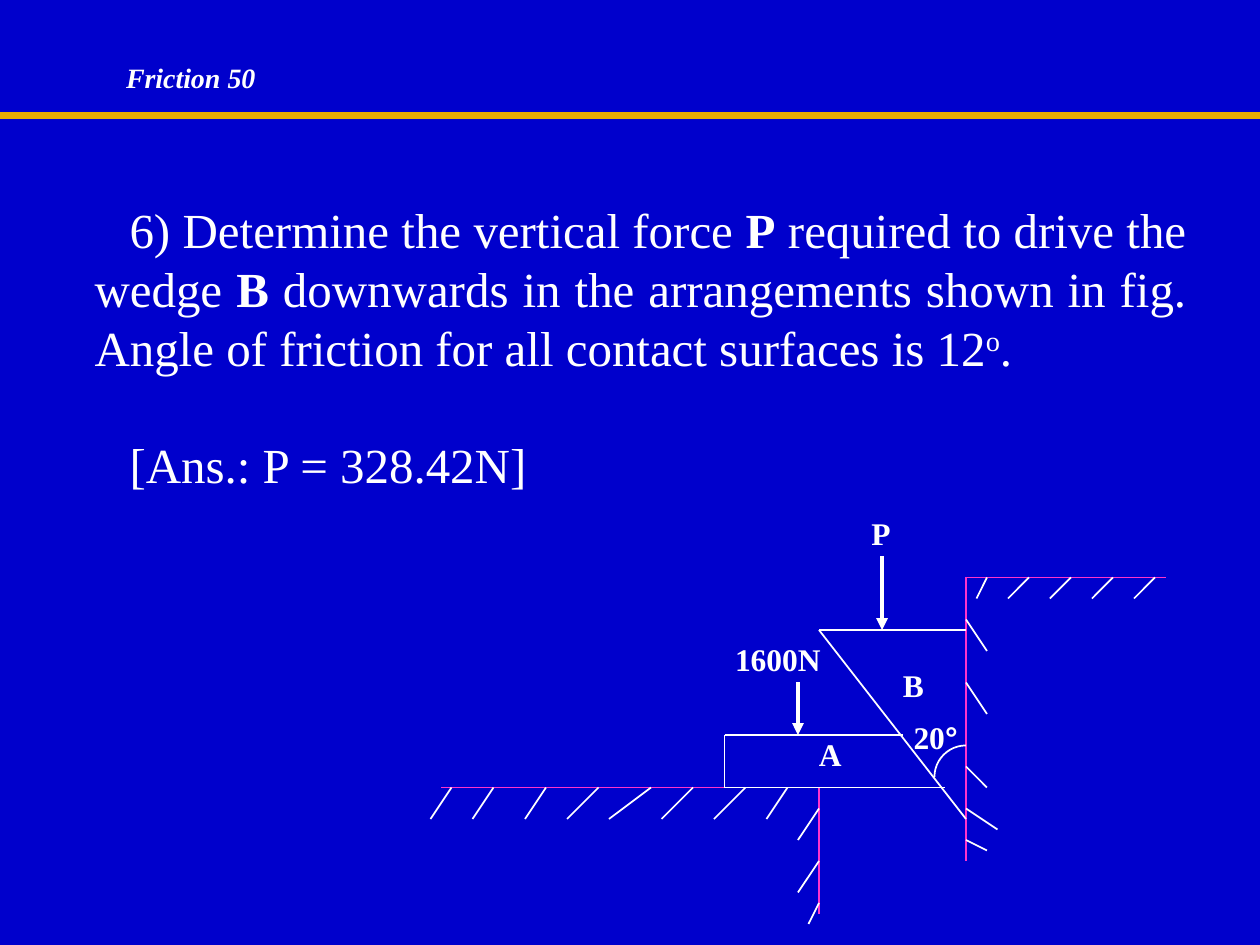
from lxml import etree
from pptx import Presentation
from pptx.dml.color import RGBColor
from pptx.enum.shapes import MSO_CONNECTOR, MSO_SHAPE
from pptx.enum.text import MSO_ANCHOR, MSO_AUTO_SIZE, PP_ALIGN
from pptx.oxml.ns import qn
from pptx.util import Pt

BLUE = RGBColor(0x00, 0x00, 0xCC)
GOLD = RGBColor(0xE8, 0xAB, 0x00)
PINK = RGBColor(0xFF, 0x33, 0xCC)
WHITE = RGBColor(0xFF, 0xFF, 0xFF)
SERIF = "Times New Roman"
GRID = 6  # points per step of the drawing grid


def add_line(slide, start, end, color=WHITE, width=1, arrow=False):
    line = slide.shapes.add_connector(
        MSO_CONNECTOR.STRAIGHT, *(Pt(value) for value in (*start, *end)))
    line.line.color.rgb = color
    line.line.width = Pt(width)
    properties = line._element.spPr
    if arrow:
        etree.SubElement(line.line._get_or_add_ln(), qn("a:tailEnd"), type="triangle")
    etree.SubElement(properties, qn("a:effectLst"))


def prepare_frame(frame):
    frame.margin_left = frame.margin_right = 0
    frame.margin_top = frame.margin_bottom = 0
    frame.word_wrap = True
    frame.auto_size = MSO_AUTO_SIZE.NONE
    frame.vertical_anchor = MSO_ANCHOR.TOP


def format_run(run, size, bold=False, italic=False, font=SERIF):
    run.font.name = font
    run.font.size = Pt(size)
    run.font.bold = bold
    run.font.italic = italic
    run.font.color.rgb = WHITE


def add_text_frame(slide, left, top, width, height):
    frame = slide.shapes.add_textbox(Pt(left), Pt(top), Pt(width), Pt(height)).text_frame
    prepare_frame(frame)
    return frame


def add_header(slide, left, top, width, height):
    # Gold rule across the slide
    add_line(slide, (-2, top + 31.5), (720, top + 31.5), GOLD, 4.5)

    # Title
    title = slide.shapes.title
    title.left, title.top, title.width, title.height = (
        Pt(value) for value in (left, top, width, height))
    prepare_frame(title.text_frame)
    title.text_frame.text = "Friction 50"
    heading = title.text_frame.paragraphs[0]
    heading.alignment = PP_ALIGN.LEFT
    format_run(heading.runs[0], 16, bold=True, italic=True)


def add_problem(slide, left, top, width, height):
    frame = add_text_frame(slide, left, top, width, height)
    question = frame.paragraphs[0]
    for text, bold in (
        ("6) Determine the vertical force", False),
        (" P", True),
        (" required to drive the wedge ", False),
        ("B", True),
        (" downwards in the arrangements shown in fig. "
         "Angle of friction for all contact surfaces is 12", False),
        ("o", False),
        (".", False),
    ):
        run = question.add_run()
        run.text = text
        format_run(run, 28, bold)
        if text == "o":
            run.font._element.set("baseline", "30000")

    answer = frame.add_paragraph()
    answer.text = "[Ans.: P = 328.42N]"
    answer.space_before = Pt(33.6)
    format_run(answer.runs[0], 28)

    for paragraph in frame.paragraphs:
        paragraph.alignment = PP_ALIGN.JUSTIFY
        indents = paragraph._p.get_or_add_pPr()
        indents.set("marL", str(Pt(36)))
        indents.set("indent", str(Pt(20)))


def add_wedge_diagram(slide, left, top):
    def place(x, y):
        return left + x * GRID, top + y * GRID

    def segment(x1, y1, x2, y2, color=WHITE, width=1, arrow=False):
        add_line(slide, place(x1, y1), place(x2, y2), color, width, arrow)

    wall_x, ledge_y, floor_y, leg_x = 51, 6, 26, 37
    wedge_y, block_x, block_y = 11, 28, 21

    # Fixed surfaces
    segment(wall_x, ledge_y, wall_x, 33, PINK)
    segment(wall_x, ledge_y, 70, ledge_y, PINK)
    segment(1, floor_y, block_x, floor_y, PINK)
    segment(leg_x, floor_y, leg_x, 38, PINK)

    # Wedge B and block A
    segment(wall_x, wedge_y, leg_x, wedge_y)
    segment(leg_x, wedge_y, wall_x, 29)
    segment(block_x, floor_y, block_x, block_y)
    segment(block_x, block_y, 45, block_y)
    segment(block_x, floor_y, 49, floor_y)

    # Forces
    segment(43, 4, 43, wedge_y, width=2.25, arrow=True)
    segment(35, 16, 35, block_y, width=2.25, arrow=True)

    # Hatching: start, then run and drop of each stroke
    floor_hatches = [(x, floor_y, run, 3) for x, run in (
        (2, -2), (6, -2), (11, -2), (16, -3), (21, -4), (25, -3), (30, -3), (34, -2))]
    leg_hatches = [(leg_x, y, run, drop) for y, run, drop in (
        (28, -2, 3), (33, -2, 3), (37, -1, 2))]
    ledge_hatches = [(x, ledge_y, -1 if x == 53 else -2, 2) for x in range(53, 70, 4)]
    wall_hatches = [(wall_x, y, run, drop) for y, run, drop in (
        (10, 2, 3), (16, 2, 3), (24, 2, 2), (28, 3, 2), (31, 2, 1))]
    for x, y, run, drop in floor_hatches + leg_hatches + ledge_hatches + wall_hatches:
        segment(x, y, x + run, y + drop)

    # Angle arc, a quarter circle centred on the wall
    radius = 3
    arc_left, arc_top = place(wall_x - radius, 25 - radius)
    diameter = 2 * radius * GRID
    arc = slide.shapes.add_shape(
        MSO_SHAPE.ARC, Pt(arc_left), Pt(arc_top), Pt(diameter), Pt(diameter))
    arc.adjustments[0] = 180 * 0.6
    arc.adjustments[1] = 270 * 0.6
    arc.shadow.inherit = False
    arc.fill.background()
    arc.line.color.rgb = WHITE
    arc.line.width = Pt(1)

    # Labels
    for text, x, y, width in (
        ("P", 42, 0, 9),
        ("1600N", 29, 12, 10),
        ("B", 45, 14.4, 4),
        ("A", 37, 21, 7),
        ("20°", 46, 19.4, 14),
    ):
        label = add_text_frame(slide, *place(x, y), width * GRID, 21.6).paragraphs[0]
        for part in (text.rstrip("°"), "°" if text.endswith("°") else ""):
            if part:
                run = label.add_run()
                run.text = part
                format_run(run, 18, bold=True, font="Arial" if part == "°" else SERIF)


def main():
    deck = Presentation()
    deck.slide_width, deck.slide_height = Pt(720), Pt(540)
    slide = deck.slides.add_slide(deck.slide_layouts[5])
    slide.background.fill.solid()
    slide.background.fill.fore_color.rgb = BLUE

    add_header(slide, 72, 34.5, 120, 19.5)
    add_problem(slide, 18, 114, 660, 235)
    add_wedge_diagram(slide, 246, 294)
    deck.save("out.pptx")


if __name__ == "__main__":
    main()
